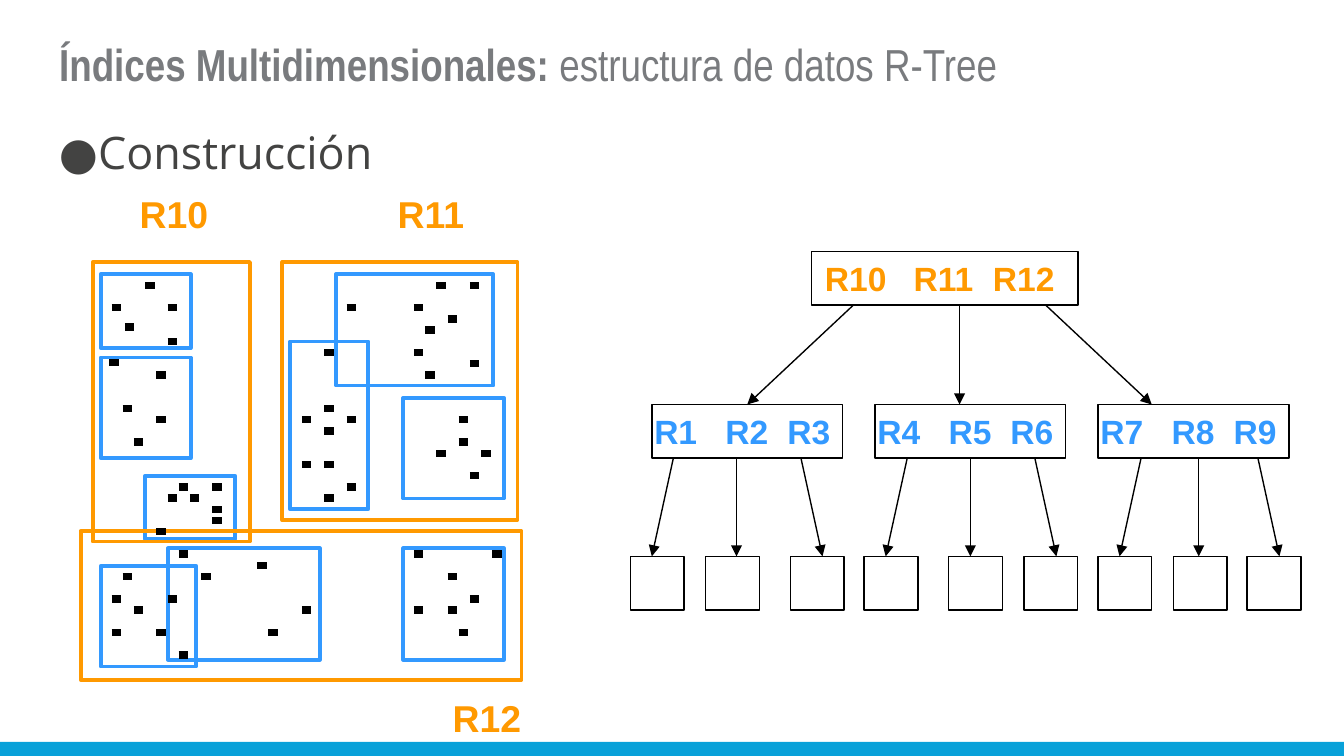
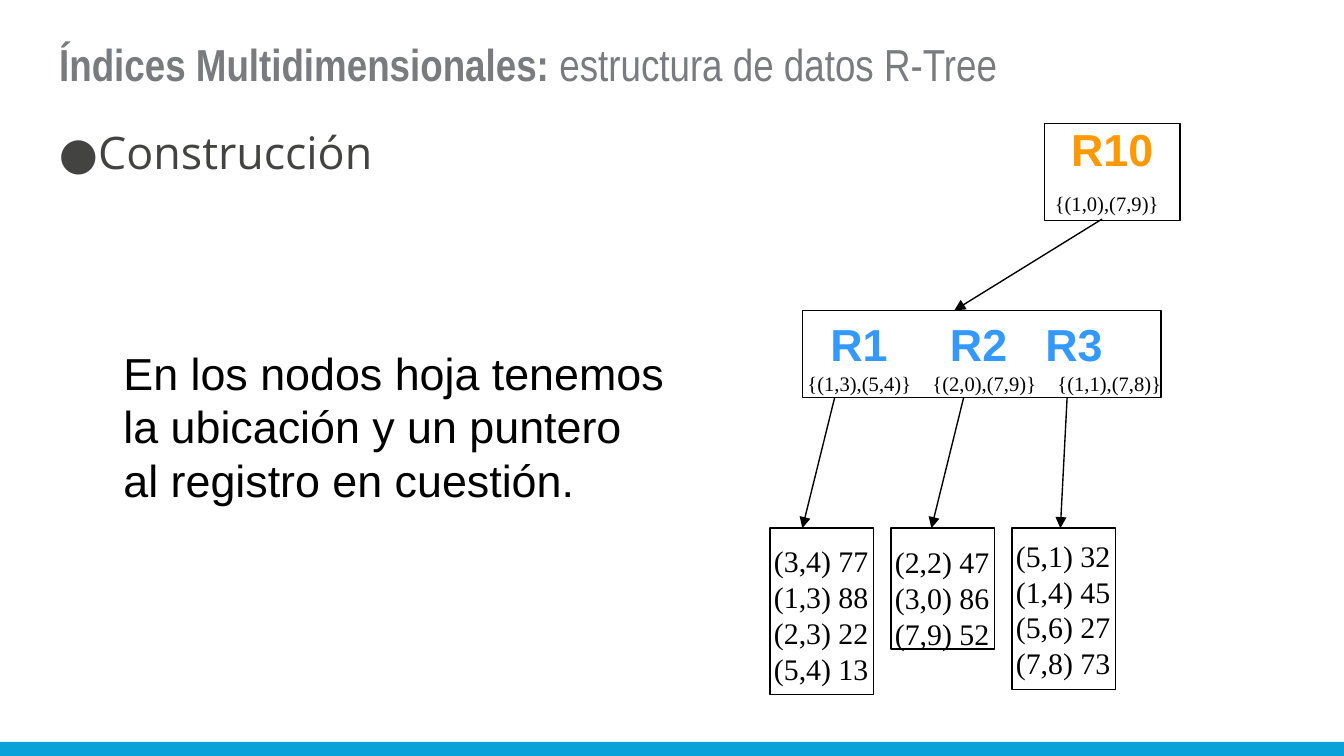
from lxml.etree import SubElement
from pptx import Presentation
from pptx.dml.color import RGBColor
from pptx.enum.shapes import MSO_CONNECTOR, MSO_SHAPE
from pptx.enum.text import MSO_ANCHOR, MSO_AUTO_SIZE, PP_ALIGN
from pptx.oxml.ns import qn
from pptx.util import Emu, Pt

EMU_PER_PX = 9144
COLORS = {
    "band": "08A1D9",
    "title": "797B7E",
    "bullet": "434342",
    "region": "FF9900",
    "leaf": "3399FF",
    "ink": "000000",
}
STYLES = {
    "title": ("Arial Narrow", 24, "title", True),
    "subtitle": ("Arial Narrow", 24, "title", False),
    "bullet": ("Open Sans", 24, "bullet", False),
    "region": ("Arial", 20, "region", True),
    "root": ("Arial", 18, "region", True),
    "child": ("Arial", 18, "leaf", True),
    "big root": ("Arial", 24, "region", True),
    "big child": ("Arial", 24, "leaf", True),
    "body": ("Arial", 24, "ink", False),
    "record": ("Times New Roman", 16, "ink", False),
    "bounds": ("Times New Roman", 11, "ink", False),
}
TITLE_PARTS = ("Índices Multidimensionales: ", "estructura de datos R-Tree")

LEAF_REGIONS = [
    (156, 59, 58, 125), (190, 9, 117, 83), (15, 9, 67, 55),
    (15, 71, 67, 75), (15, 226, 71, 75), (65, 213, 113, 83),
    (48, 159, 67, 47), (240, 213, 75, 83), (240, 101, 75, 75),
]
PARENT_REGIONS = [(150, 0, 175, 192), (9, 0, 117, 208), (0, 200, 328, 111)]
REGION_LABELS = [("R10", 34, -58), ("R11", 226, -58), ("R12", 267, 317)]
DOT_COLUMNS_BY_ROW = {
    1: (3, 29, 32), 3: (0, 5, 21, 27), 4: (30,), 4.7: (1.2,), 5: (28,),
    6: (5,), 7: (19, 27), 7.9: (-0.2,), 8: (32,), 9: (4, 28),
    12: (1, 19), 13: (4, 17, 21, 31), 14: (19,), 15: (2, 31),
    16: (29, 33), 17: (17, 19), 18: (32,), 19: (6, 9, 21),
    20: (5, 7, 19), 21: (9,), 22: (9,), 23: (4,), 25: (6, 27, 34),
    26: (13,), 27: (1, 8, 30), 29: (0, 5, 32), 30: (2, 17, 27, 30),
    32: (0, 4, 14, 31), 34: (6,),
}
DOT_STEP = 25 / 3

TREE_CHILDREN = [
    ("R1\tR2\tR3", (-16, 40, 103), ((16, 0), (63, 63), (111, 127))),
    ("R4\tR5\tR6", (-8, 55, 111), ((24, 8), (71, 71), (119, 135))),
    ("R7\tR8\tR9", (0, 56, 111), ((32, 16), (75, 75), (119, 135))),
]
RECORD_NODES = [
    (124, 6, ["(3,4) 77", "(1,3) 88", "(2,3) 22", "(5,4) 13"]),
    (90, 7, ["(2,2) 47", "(3,0) 86", "(7,9) 52"]),
    (120, 2, ["(5,1) 32", "(1,4) 45", "(5,6) 27", "(7,8) 73"]),
]


def px(length):
    return Emu(round(length * EMU_PER_PX))


def color(name):
    return RGBColor.from_string(COLORS[name])


def apply_style(font, style):
    font.name, size, color_name, font.bold = STYLES[style]
    font.size = Pt(size)
    font.color.rgb = color(color_name)


def set_insets(frame, side, vertical):
    frame.margin_left = frame.margin_right = px(side)
    frame.margin_top = frame.margin_bottom = px(vertical)


def add_text(page, box, lines, style, align=PP_ALIGN.LEFT, wrap=True, tabs=()):
    frame = page.shapes.add_textbox(*map(px, box)).text_frame
    set_insets(frame, 10, 5)
    frame.word_wrap = wrap
    frame.text = "\n".join(lines)
    for para in frame.paragraphs:
        para.alignment = align
        if tabs:
            tab_list = SubElement(para._p.get_or_add_pPr(), qn("a:tabLst"))
            for position in tabs:
                SubElement(tab_list, qn("a:tab"), pos=str(px(position)), algn="l")
        for span in para.runs:
            apply_style(span.font, style)
    return frame


def add_frame(page, box, line_color="ink", width=0.75):
    frame = page.shapes.add_shape(MSO_SHAPE.RECTANGLE, *map(px, box))
    frame.shadow.inherit = False
    frame.fill.background()
    frame.line.color.rgb = color(line_color)
    frame.line.width = Pt(width)


def add_line(page, start, end, width=0.75, arrow=False):
    line = page.shapes.add_connector(MSO_CONNECTOR.STRAIGHT, *map(px, start + end))
    line.line.color.rgb = color("ink")
    line.line.width = Pt(width)
    if arrow:
        SubElement(line.line._get_or_add_ln(), qn("a:tailEnd"), type="triangle")
    SubElement(line._element.spPr, qn("a:effectLst"))


def add_band(page, box):
    band = page.shapes.add_shape(MSO_SHAPE.RECTANGLE, *map(px, box))
    band.shadow.inherit = False
    band.fill.solid()
    band.fill.fore_color.rgb = color("band")
    band.line.fill.background()


def format_title(page, box):
    title = page.shapes.title
    title.left, title.top, title.width, title.height = map(px, box)
    frame = title.text_frame
    set_insets(frame, 10, 10)
    frame.word_wrap = True
    frame.auto_size = MSO_AUTO_SIZE.NONE
    frame.vertical_anchor = MSO_ANCHOR.TOP
    para = frame.paragraphs[0]
    para.alignment = PP_ALIGN.LEFT
    for text, style in zip(TITLE_PARTS, ("title", "subtitle")):
        span = para.add_run()
        span.text = text
        apply_style(span.font, style)


def add_bullet(page, box, text):
    frame = add_text(page, box, [text], "bullet")
    set_insets(frame, 10, 10)
    para = frame.paragraphs[0]
    properties = para._p.get_or_add_pPr()
    properties.set("marL", str(px(28)))
    properties.set("indent", str(px(-28)))
    bullet_color = SubElement(properties, qn("a:buClr"))
    SubElement(bullet_color, qn("a:srgbClr"), val=COLORS["bullet"])
    SubElement(properties, qn("a:buFont"), typeface="Open Sans")
    SubElement(properties, qn("a:buChar"), char="●")
    para.space_after = Pt(6)


def start_page(deck):
    page = deck.slides.add_slide(deck.slide_layouts[5])
    add_band(page, (0, 552, 1000, 11))
    format_title(page, (34, 17, 932, 69))
    add_bullet(page, (34, 83, 932, 75), "Construcción")
    return page


def add_region_map(page, left, top):
    for regions, line_color in ((LEAF_REGIONS, "leaf"), (PARENT_REGIONS, "region")):
        for x, y, width, height in regions:
            add_frame(page, (left + x, top + y, width, height), line_color, 2)
    for row, columns in DOT_COLUMNS_BY_ROW.items():
        y = top + 9 + row * DOT_STEP
        for column in columns:
            x = left + 23 + column * DOT_STEP
            add_line(page, (x, y), (x + 7, y), width=4)
    for text, x, y in REGION_LABELS:
        add_text(page, (left + x, top + y, 71, 43), [text], "region", wrap=False)


def add_index_tree(page, left, top):
    side = 40
    child_top, leaf_top = top + 114, top + 227
    add_frame(page, (left + 135, top, 198, side))
    add_text(page, (left + 135, top, 206, side), ["R10\tR11\tR12"], "root",
             tabs=(66, 125))
    for start, end in ((166, 87), (245, 245), (309, 388)):
        add_line(page, (left + start, top + side), (left + end, child_top), arrow=True)
    for index, (names, leaves, arrows) in enumerate(TREE_CHILDREN):
        x = left + 16 + index * 166
        add_frame(page, (x, child_top, 142, side))
        add_text(page, (x - 8, child_top, 166, side), [names], "child",
                 tabs=(53, 99))
        for leaf in leaves:
            add_frame(page, (x + leaf, leaf_top, side, side))
        for start, end in arrows:
            add_line(page, (x + start, child_top + side), (x + end, leaf_top),
                     arrow=True)


def add_detail_tree(page, left, top):
    center = PP_ALIGN.CENTER
    add_frame(page, (left + 204, top, 101, 72))
    add_text(page, (left + 204, top - 6, 101, 50), ["R10"], "big root", center)
    add_text(page, (left + 202, top + 45, 97, 28), ["{(1,0),(7,9)}"], "bounds",
             center, wrap=False)

    child_top, record_top = top + 139, top + 301
    add_frame(page, (left + 24, child_top, 267, 65))
    add_text(page, (left + 35, child_top, 246, 50), ["R1\tR2\tR3"], "big child",
             tabs=(89, 160))
    add_text(page, (left + 18, child_top + 40, 287, 28),
             ["{(1,3),(5,4)}\t{(2,0),(7,9)}\t{(1,1),(7,8)}"], "bounds",
             tabs=(93, 186))

    add_line(page, (left + 247, top + 71), (left + 137, child_top), arrow=True)
    for start, end in ((48, 24), (144, 120), (221, 216)):
        add_line(page, (left + start, child_top + 65), (left + end, record_top),
                 arrow=True)
    for index, (height, text_offset, records) in enumerate(RECORD_NODES):
        x = left + index * 90
        add_frame(page, (x, record_top, 77, height))
        add_text(page, (x - 7, record_top + text_offset, 90, 116), records, "record",
                 center, wrap=False)


def main():
    deck = Presentation()
    deck.slide_width, deck.slide_height = px(1000), px(1000 * 9 / 16)

    page = start_page(deck)
    add_region_map(page, 60, 195)
    add_index_tree(page, 469, 187)

    page = start_page(deck)
    add_detail_tree(page, 573, 92)
    add_text(page, (82, 252, 425, 170),
             ["En los nodos hoja tenemos la ubicación y un puntero al registro en cuestión."],
             "body")

    deck.save("out.pptx")


if __name__ == "__main__":
    main()
